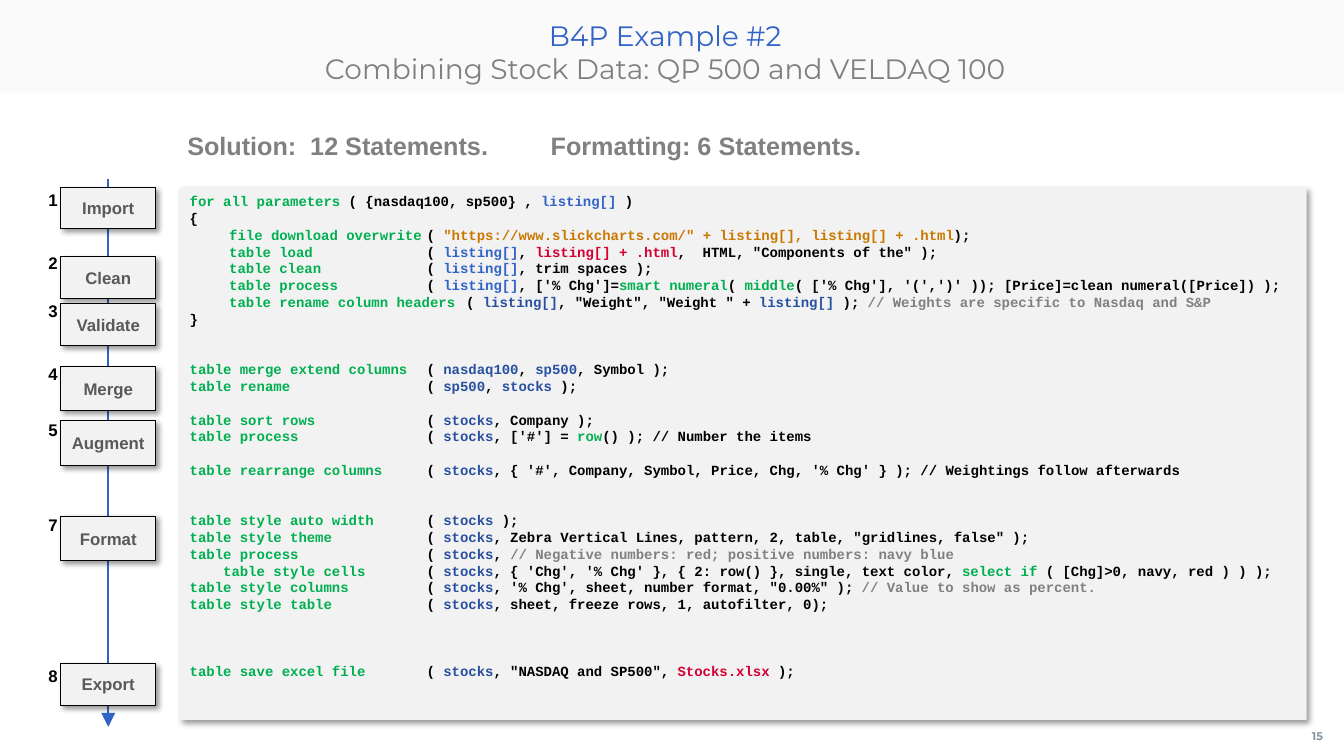
from dataclasses import dataclass

from lxml import etree
from pptx import Presentation
from pptx import util as u
from pptx.dml.color import RGBColor
from pptx.enum import shapes, text
from pptx.oxml import ns

Pt = u.Pt


@dataclass(frozen=True)
class Theme:
    blue: str = "3264C8"
    navy: str = "2850A0"
    green: str = "00B050"
    orange: str = "CA7700"
    red: str = "D50032"
    grey: str = "808080"
    label: str = "595959"
    page_number: str = "8996A0"
    black: str = "000000"
    panel: str = "F2F2F2"
    heading_font: str = "Montserrat"
    body_font: str = "Arial"
    code_font: str = "Courier New"
    title_size: float = 20
    subtitle_size: float = 18
    label_size: float = 12
    code_size: float = 10
    page_number_size: float = 8


T = Theme()
CODE_LEADING = 12
CODE_TAB = 28.2
LISTING, LISTING_NAVY = (T.blue, "listing[]"), (T.navy, "listing[]")
STOCKS, SP500 = (T.navy, "stocks"), (T.navy, "sp500")


def call(name, *args, indent=""):
    """A code line: green statement name, then its arguments at the next tab."""
    return [indent, (T.green, name), "\t( ", *args]


def inner(name, *args):
    return call(name, *args, indent="\t")


# Each block: blank lines above it, then its lines. A bare string is black code.
CODE = [
    (0, [
        [(T.green, "for all parameters "), "( {nasdaq100, sp500} , ", LISTING, " )"],
        ["{"],
        inner("file download overwrite",
              (T.orange, '"https://www.slickcharts.com/" + listing[], listing[] + .html'), ");"),
        inner("table load", LISTING, ", ", (T.red, "listing[] + .html"),
              ',  HTML, "Components of the" );'),
        inner("table clean", LISTING, ", trim spaces );"),
        inner("table process", LISTING, ", ['% Chg']=", (T.green, "smart numeral"), "( ",
              (T.green, "middle"), "( ['% Chg'], '(',')' )); [Price]=clean numeral([Price]) );"),
        inner("table rename column headers", LISTING_NAVY, ', "Weight", "Weight " + ',
              LISTING_NAVY, " ); ", (T.grey, "// Weights are specific to Nasdaq and S&P")),
        ["}"],
    ]),
    (2, [
        call("table merge extend columns", (T.navy, "nasdaq100"), ", ", SP500, ", Symbol );"),
        call("table rename", SP500, ", ", STOCKS, " );"),
    ]),
    (1, [
        call("table sort rows", STOCKS, ", Company );"),
        call("table process", STOCKS, ", ['#'] = ", (T.green, "row"), "() ); // Number the items"),
    ]),
    (1, [
        call("table rearrange columns", STOCKS,
             ", { '#', Company, Symbol, Price, Chg, '% Chg' } ); // Weightings follow afterwards"),
    ]),
    (2, [
        call("table style auto width", STOCKS, " );"),
        call("table style theme", STOCKS,
             ', Zebra Vertical Lines, pattern, 2, table, "gridlines, false" );'),
        call("table process", STOCKS, ", ",
             (T.grey, "// Negative numbers: red; positive numbers: navy blue")),
        call("    table style cells", STOCKS,
             ", { 'Chg', '% Chg' }, { 2: row() }, single, text color, ",
             (T.green, "select if"), " ( [Chg]>0, navy, red ) ) );"),
        call("table style columns", STOCKS, ", '% Chg', sheet, number format, \"0.00%\" ); ",
             (T.grey, "// Value to show as percent.")),
        call("table style table", STOCKS, ", sheet, freeze rows, 1, autofilter, 0);"),
    ]),
    (3, [
        call("table save excel file", STOCKS, ', "NASDAQ and SP500", ',
             (T.red, "Stocks.xlsx "), ");"),
    ]),
]

# Label, box top, box height, number, number top; tops are relative to the arrow's start
STEPS = [
    ("Import", 5.7, 29, "1", 5.7),
    ("Clean", 55, 30, "2", 51.1),
    ("Validate", 88.5, 30, "3", 84.9),
    ("Merge", 133.9, 31, "4", 130.3),
    ("Augment", 172, 32, "5", 169.9),
    ("Format", 240.4, 32, "7", 238.3),
    ("Export", 345.6, 30, "8", 345.6),
]


def write(shape, lines, size, font=T.body_font, colour=T.black, bold=True, align="LEFT",
          anchor="TOP", insets=(7.2, 3.6, 7.2, 3.6), wrap=True, tabs=(), leading=None, gaps=None):
    """Fill a shape with lines of spans; a span is a string or a (colour, string) pair."""
    frame = shape.text_frame
    frame.auto_size = text.MSO_AUTO_SIZE.NONE
    frame.word_wrap = wrap
    frame.vertical_anchor = getattr(text.MSO_ANCHOR, anchor)
    (frame.margin_left, frame.margin_top,
     frame.margin_right, frame.margin_bottom) = map(Pt, insets)
    for index, line in enumerate(lines):
        para = frame.add_paragraph() if index else frame.paragraphs[0]
        if tabs:
            stops = etree.SubElement(para._p.get_or_add_pPr(), ns.qn("a:tabLst"))
            for stop in tabs:
                etree.SubElement(stops, ns.qn("a:tab"), pos=str(Pt(stop)), algn="l")
        para.alignment = getattr(text.PP_ALIGN, align)
        if leading:
            para.line_spacing = Pt(leading)
        if gaps and gaps.get(index):
            para.space_before = Pt(gaps[index])
        for part in filter(None, line):
            if part == "\n":
                para.add_line_break()
                continue
            tint, words = (colour, part) if isinstance(part, str) else part
            span = para.add_run()
            span.text = words
            span.font.name, span.font.size, span.font.bold = font, Pt(size), bold
            span.font.color.rgb = RGBColor.from_string(tint)


def add_box(page, box, outline=False, shadow=False):
    shape = page.shapes.add_shape(shapes.MSO_SHAPE.RECTANGLE, *map(Pt, box))
    shape.fill.solid()
    shape.fill.fore_color.rgb = RGBColor.from_string(T.panel)
    if outline:
        shape.line.color.rgb = RGBColor.from_string(T.black)
        shape.line.width = Pt(0.75)
    else:
        shape.line.fill.background()
    shape.shadow.inherit = False
    if shadow:
        effects = shape.element.spPr.find(ns.qn("a:effectLst"))
        cast = etree.SubElement(effects, ns.qn("a:outerShdw"), blurRad=str(Pt(4)),
                                dist=str(Pt(3)), dir="2700000", algn="tl", rotWithShape="0")
        tint = etree.SubElement(cast, ns.qn("a:srgbClr"), val=T.black)
        etree.SubElement(tint, ns.qn("a:alpha"), val="40000")
    return shape


def add_text(page, box, words, size, **style):
    write(page.shapes.add_textbox(*map(Pt, box)), [[words]], size, **style)


def add_header(page, left, top, width, height):
    band = add_box(page, (left, top, width, height))
    tint = band.element.spPr.find(".//" + ns.qn("a:srgbClr"))
    etree.SubElement(tint, ns.qn("a:alpha"), val="34000")
    title = page.shapes.title
    title.element.addprevious(band.element)
    title.left, title.top = Pt(left + 36.7), Pt(top + 9.4)
    title.width, title.height = Pt(884.2), Pt(height - 9.4)
    write(title, [[(T.blue, "B4P Example #2"), "\n",
                   "Combining Stock Data: QP 500 and VELDAQ 100"]],
          T.title_size, font=T.heading_font, colour=T.grey, bold=False, align="CENTER",
          insets=(0, 3.6, 7.2, 3.6))


def add_steps(page, left, top, width, height):
    """Numbered process boxes strung along a downward arrow."""
    number_width, box_width = 17.3, 67.7
    box_left = left + width - box_width
    middle = box_left + box_width / 2
    arrow = page.shapes.add_connector(shapes.MSO_CONNECTOR.STRAIGHT,
                                      Pt(middle), Pt(top), Pt(middle), Pt(top + height))
    arrow.line.color.rgb = RGBColor.from_string(T.blue)
    arrow.line.width = Pt(1.75)
    etree.SubElement(arrow.line._get_or_add_ln(), ns.qn("a:tailEnd"),
                     type="triangle", w="lg", len="lg")
    etree.SubElement(arrow._element.spPr, ns.qn("a:effectLst"))
    style = dict(size=T.label_size, anchor="MIDDLE", insets=(2.9,) * 4)
    for label, box_top, box_height, number, number_top in STEPS:
        step = add_box(page, (box_left, top + box_top, box_width, box_height), True, True)
        write(step, [[label]], colour=T.label, align="CENTER", wrap=False, **style)
        add_text(page, (left, top + number_top, number_width, 17.3), number,
                 align="RIGHT", **style)


def add_code(page, *box):
    lines, gaps = [], {}
    for blank_lines, block in CODE:
        gaps[len(lines)] = blank_lines * CODE_LEADING
        lines += block
    write(add_box(page, box, shadow=True), lines, T.code_size, font=T.code_font,
          tabs=[CODE_TAB * n for n in (1, 6, 7)], leading=CODE_LEADING, gaps=gaps)


def main():
    deck = Presentation()
    deck.slide_width, deck.slide_height = Pt(960), Pt(540)
    page = deck.slides.add_slide(deck.slide_layouts[5])
    add_header(page, 0, 0, 960, 66)
    add_text(page, (126.7, 89.3, 744.5, 29), "Solution:  12 Statements.\tFormatting: 6 Statements.",
             T.subtitle_size, colour=T.grey, tabs=[259.6])
    add_code(page, 128.4, 134.2, 805, 380)
    add_steps(page, 26.9, 128.2, 84.3, 391)
    add_text(page, (928, 512, 32, 28), "15", T.page_number_size, font=T.heading_font,
             colour=T.page_number, align="CENTER", anchor="MIDDLE", wrap=False,
             insets=(0, 3.6, 5.8, 3.6))
    deck.save("out.pptx")


if __name__ == "__main__":
    main()
